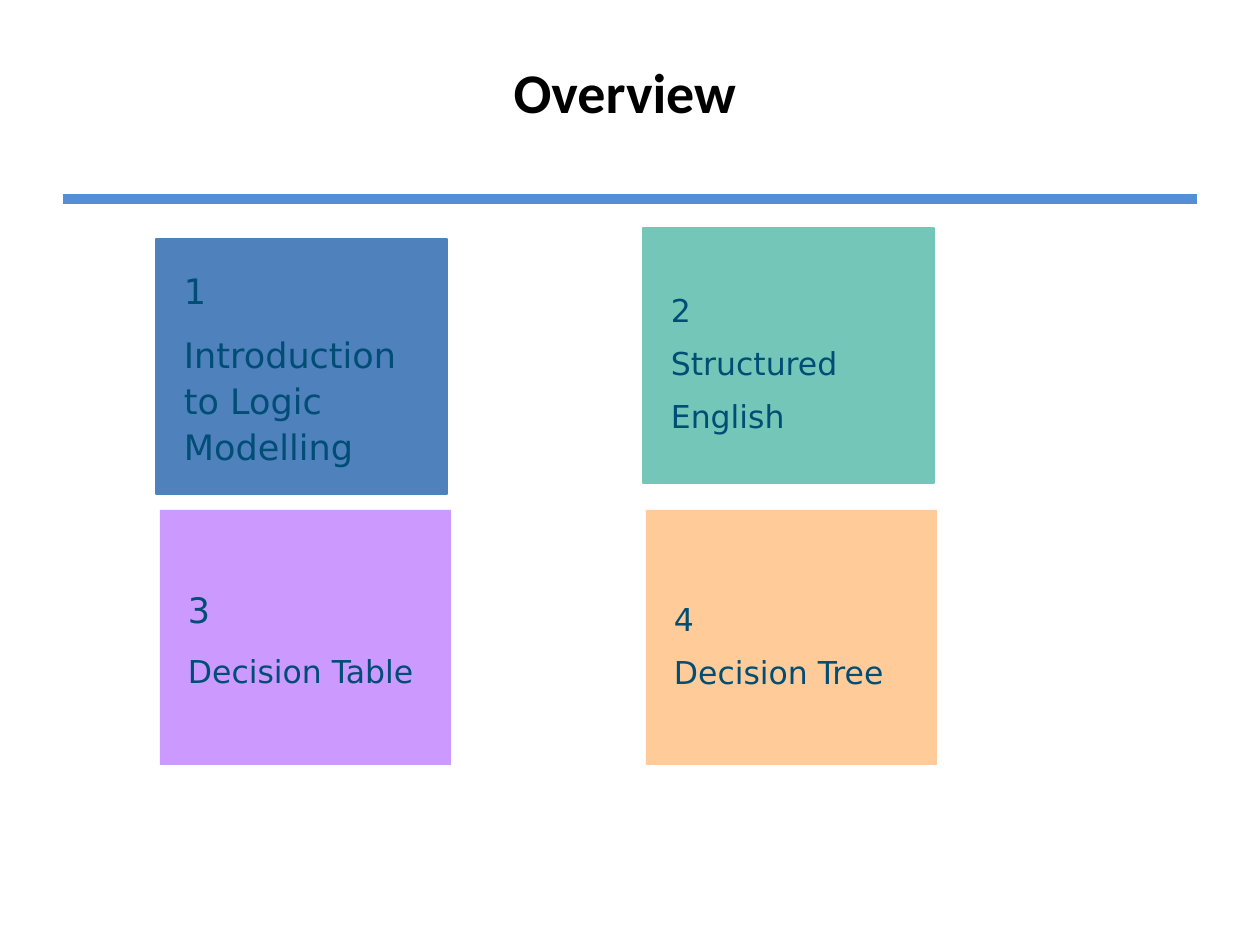
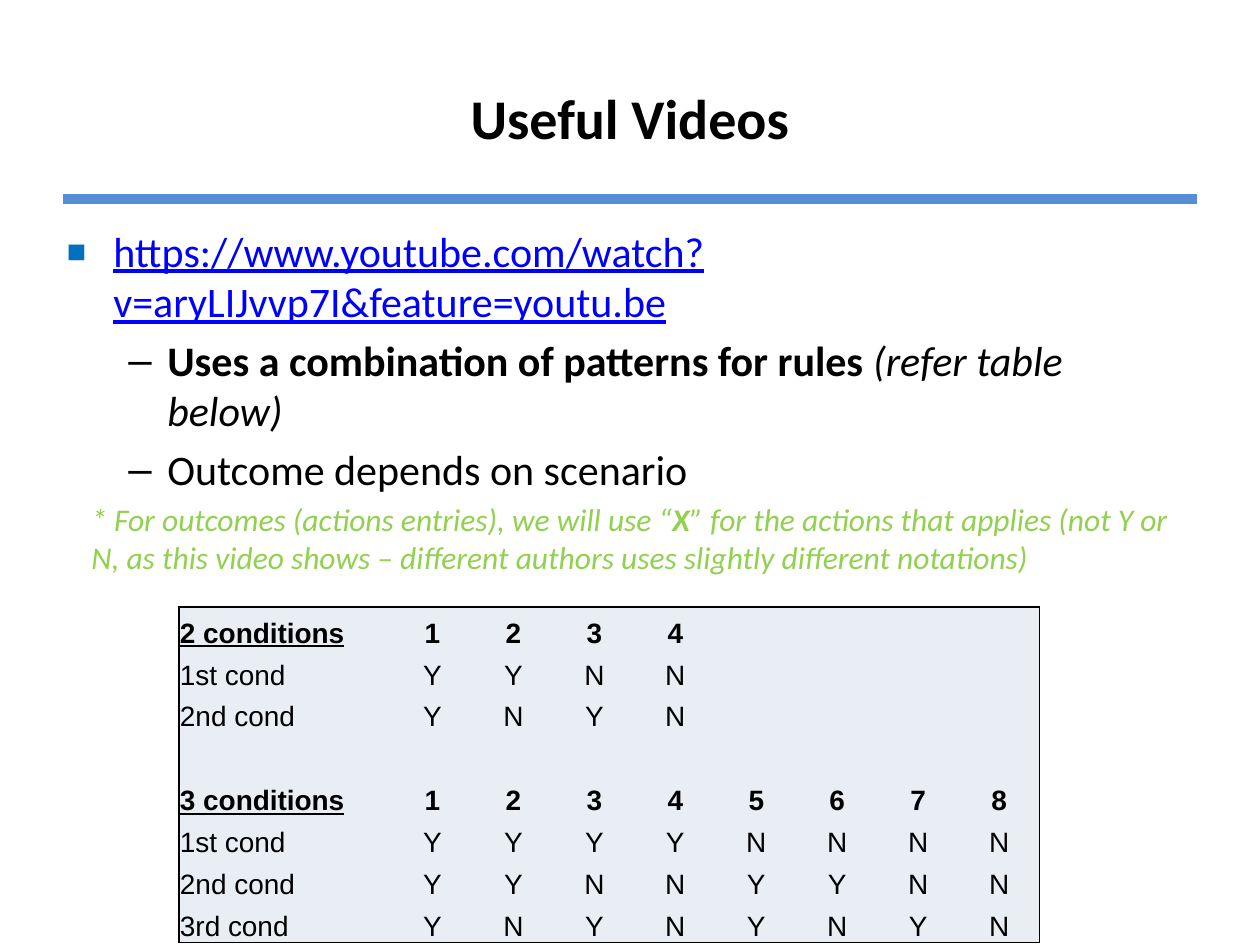
from lxml import etree
from pptx import Presentation
from pptx.dml.color import RGBColor
from pptx.enum.shapes import MSO_CONNECTOR, MSO_SHAPE
from pptx.enum.text import MSO_ANCHOR as ANCHOR, PP_ALIGN as ALIGN
from pptx.oxml.ns import qn
from pptx.util import Emu, Pt

SCALE = 914400 / 126
BLACK = RGBColor(0x00, 0x00, 0x00)
RULE_BLUE = RGBColor(0x55, 0x8E, 0xD5)
BULLET_BLUE = RGBColor(0x00, 0x70, 0xC0)
LINK_BLUE = RGBColor(0x00, 0x00, 0xFF)
NOTE_GREEN = RGBColor(0x92, 0xD0, 0x50)
CARD_TEXT = RGBColor(0x00, 0x4D, 0x75)
CARD_BLUE = RGBColor(0x4F, 0x81, 0xBD)
CARD_TEAL = RGBColor(0x74, 0xC7, 0xB8)
CARD_PURPLE = RGBColor(0xCC, 0x99, 0xFF)
CARD_ORANGE = RGBColor(0xFF, 0xCC, 0x99)
TABLE_FILL = RGBColor(0xE9, 0xED, 0xF4)


def px(n):
    return Emu(round(n * SCALE))


def child(parent, tag, **attrs):
    return etree.SubElement(parent, qn(tag), attrs)


class Deck:
    title_font = body_font = "Calibri"
    card_font = "DejaVu Sans"
    table_font = "Arial"

    def __init__(self):
        self.prs = Presentation()
        self.prs.slide_width = px(1260)
        self.prs.slide_height = px(945)

    def slide(self, title, *box):
        self.s = self.prs.slides.add_slide(self.prs.slide_layouts[6])
        self.rule(63, 199, 1197)
        tf = self.text_box(*box)
        tf.vertical_anchor = ANCHOR.MIDDLE
        p = tf.paragraphs[0]
        p.alignment = ALIGN.CENTER
        self.run(p, title, 32, self.title_font, bold=True)

    def rule(self, left, y, right):
        line = self.s.shapes.add_connector(
            MSO_CONNECTOR.STRAIGHT, px(left), px(y), px(right), px(y))
        line.line.color.rgb = RULE_BLUE
        line.line.width = Pt(6)
        child(line._element.spPr, "a:effectLst")

    def text_box(self, *box):
        tf = self.s.shapes.add_textbox(*map(px, box)).text_frame
        tf.word_wrap = True
        return tf

    def run(self, p, text, size, font, color=BLACK, **style):
        r = p.add_run()
        r.text = text
        r.font.size = Pt(size)
        r.font.name = font
        r.font.color.rgb = color
        for name, value in style.items():
            setattr(r.font, name, value)

    def paragraph(self, tf, index):
        return tf.add_paragraph() if index else tf.paragraphs[0]

    def card(self, left, top, fill, lines, spacing, gap=0, outlined=False):
        sp = self.s.shapes.add_shape(
            MSO_SHAPE.RECTANGLE, px(left), px(top), px(291), px(255))
        sp.shadow.inherit = False
        sp.fill.solid()
        sp.fill.fore_color.rgb = fill
        if outlined:
            sp.line.color.rgb = fill
            sp.line.width = Pt(0.75)
        else:
            sp.line.fill.background()
        tf = sp.text_frame
        tf.word_wrap = True
        tf.vertical_anchor = ANCHOR.MIDDLE
        tf.margin_left = tf.margin_right = px(28)
        tf.margin_top = tf.margin_bottom = px(21)
        for i, (text, size) in enumerate(lines):
            p = self.paragraph(tf, i)
            p.alignment = ALIGN.LEFT
            p.line_spacing = spacing
            if i and gap:
                p.space_before = Pt(gap)
            self.run(p, text, size, self.card_font, CARD_TEXT)

    def bullets(self, box, items):
        tf = self.text_box(*box)
        for i, (margin, indent, bullet, size, runs) in enumerate(items):
            p = self.paragraph(tf, i)
            if i:
                p.space_before = Pt(size * 0.2)
            pPr = p._p.get_or_add_pPr()
            pPr.set("marL", str(px(margin)))
            pPr.set("indent", str(px(indent)))
            if bullet:
                char, color, percent = bullet
                child(child(pPr, "a:buClr"), "a:srgbClr", val=str(color))
                child(pPr, "a:buSzPct", val=str(percent * 1000))
                child(pPr, "a:buFont", typeface="Arial")
                child(pPr, "a:buChar", char=char)
            for text, style in runs:
                self.run(p, text, size, self.body_font, **style)

    def border(self, cell, side, visible):
        ln = child(cell._tc.get_or_add_tcPr(), f"a:ln{side}", w=str(Pt(1)))
        if visible:
            child(child(ln, "a:solidFill"), "a:srgbClr", val=str(BLACK))
        else:
            child(ln, "a:noFill")

    def table(self, left, top, widths, row_height, rows):
        last_row, last_col = len(rows) - 1, len(widths) - 1
        table = self.s.shapes.add_table(
            len(rows), len(widths), px(left), px(top),
            px(sum(widths)), px(row_height * len(rows))).table
        table.first_row = table.horz_banding = False
        for column, width in zip(table.columns, widths):
            column.width = px(width)
        for i, (label, marks) in enumerate(rows):
            table.rows[i].height = px(row_height)
            heading = label.endswith("conditions")
            texts = [label, *marks.ljust(last_col)]
            for j, text in enumerate(texts):
                cell = table.cell(i, j)
                edges = {"L": j == 0, "R": j == last_col,
                         "T": i == 0, "B": i == last_row}
                for side, visible in edges.items():
                    self.border(cell, side, visible)
                cell.fill.solid()
                cell.fill.fore_color.rgb = TABLE_FILL
                cell.vertical_anchor = ANCHOR.BOTTOM
                cell.margin_left = cell.margin_right = cell.margin_top = px(1)
                cell.margin_bottom = 0
                if text.strip():
                    p = cell.text_frame.paragraphs[0]
                    p.alignment = ALIGN.CENTER if j else ALIGN.LEFT
                    self.run(p, text, 16, self.table_font, bold=heading,
                             underline=heading and j == 0)


def overview(deck):
    deck.slide("Overview", 53, 53, 1144, 76)
    deck.card(156, 239, CARD_BLUE,
              [("1", 20), ("Introduction to Logic Modelling", 20)],
              1.1, gap=10, outlined=True)
    deck.card(643, 228, CARD_TEAL,
              [("2", 18), ("Structured English", 18)], 1.4, outlined=True)
    deck.card(160, 510, CARD_PURPLE,
              [("3", 20), ("Decision Table", 18)], 1.1, gap=10)
    deck.card(646, 510, CARD_ORANGE,
              [("4", 18), ("Decision Tree", 18)], 1.4)


def useful_videos(deck):
    deck.slide("Useful Videos", 63, 38, 1134, 158)
    square = ("▪", BULLET_BLUE, 150)
    dash = ("–", BLACK, 100)
    note = {"color": NOTE_GREEN, "italic": True}
    deck.bullets((53, 219, 1144, 371), [
        (48, -48, square, 24, [
            ("https://www.youtube.com/watch?v=aryLIJvvp7I&feature=youtu.be",
             {"color": LINK_BLUE, "underline": True})]),
        (102, -39, dash, 24, [
            ("Uses a combination of patterns for rules ", {"bold": True}),
            ("(refer table below)", {"italic": True})]),
        (102, -39, dash, 24, [("Outcome depends on scenario", {})]),
        (26, 0, None, 18, [
            ("* For outcomes (actions entries), we will use “", note),
            ("X", {**note, "bold": True}),
            ("” for the actions that applies (not Y or N, as this video shows "
             "– different authors uses slightly different notations)", note)]),
    ])
    deck.table(179, 607, [213] + [81] * 8, 42, [
        ("2 conditions", "1234"),
        ("1st cond", "YYNN"),
        ("2nd cond", "YNYN"),
        ("", ""),
        ("3 conditions", "12345678"),
        ("1st cond", "YYYYNNNN"),
        ("2nd cond", "YYNNYYNN"),
        ("3rd cond", "YNYNYNYN"),
    ])


def main():
    deck = Deck()
    overview(deck)
    useful_videos(deck)
    deck.prs.save("out.pptx")


if __name__ == "__main__":
    main()
